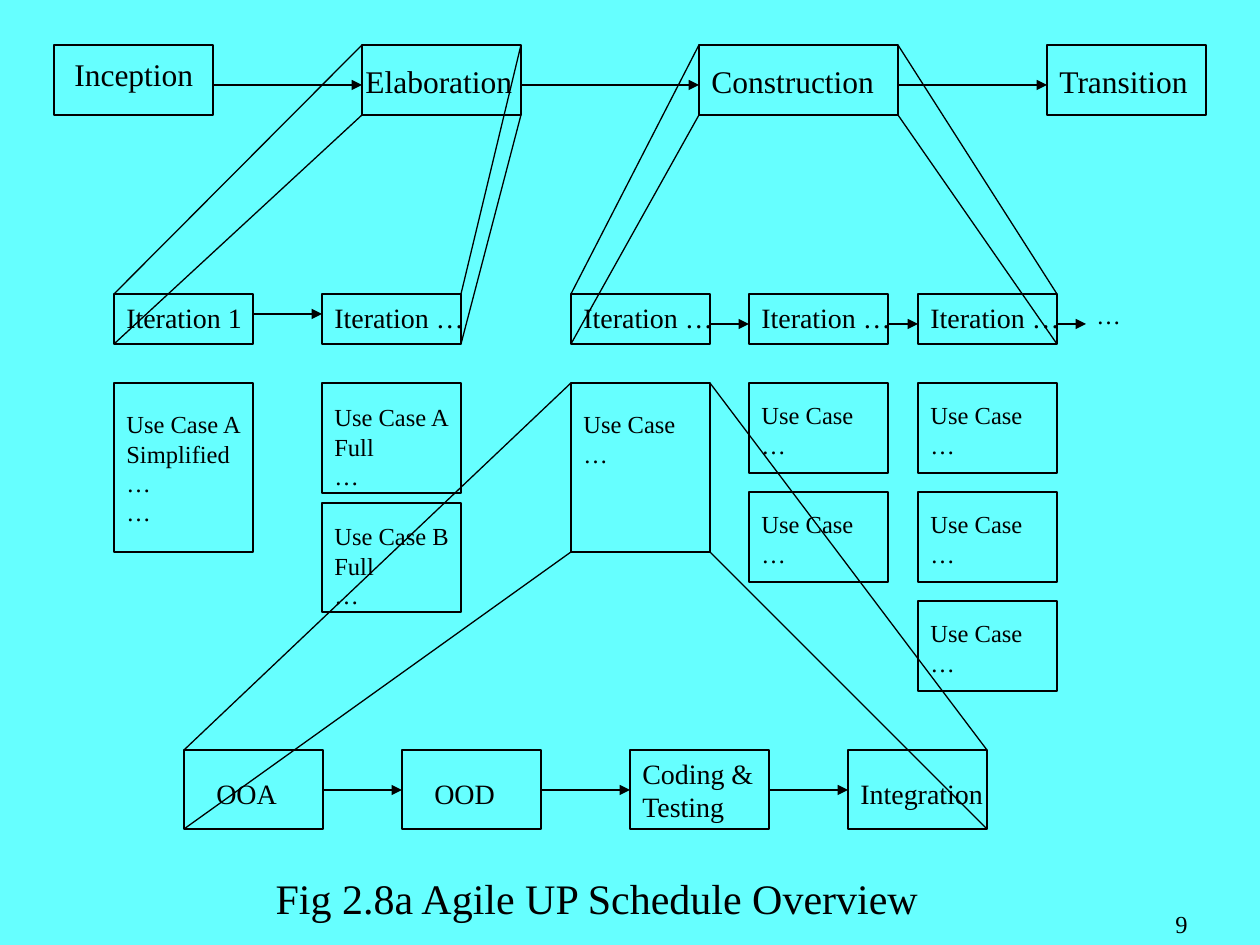
from dataclasses import dataclass
from itertools import pairwise

from lxml.etree import SubElement
from pptx import Presentation
from pptx.dml.color import RGBColor
from pptx.enum.shapes import MSO_CONNECTOR, MSO_SHAPE
from pptx.enum.text import MSO_ANCHOR, MSO_AUTO_SIZE, PP_ALIGN
from pptx.oxml.ns import qn
from pptx.util import Pt

PX = 914400 / 126
COLORS = {"background": "66FFFF", "ink": "000000"}
FONT = "Times New Roman"


@dataclass(frozen=True)
class Box:
    """A framed box whose label starts at an offset from its corner."""
    left: int
    top: int
    width: int
    height: int
    text: str
    size: int
    label_width: int
    label_dx: int = 0
    label_dy: int = 0
    wrap: bool = False

    @property
    def right(self) -> int:
        return self.left + self.width

    @property
    def bottom(self) -> int:
        return self.top + self.height


def emu(pixels: int) -> int:
    return round(pixels * PX)


def ink(name: str) -> RGBColor:
    return RGBColor.from_string(COLORS[name])


def write(shape, text: str, size: int, align=PP_ALIGN.LEFT, wrap: bool = False) -> None:
    frame = shape.text_frame
    frame.word_wrap = wrap
    frame.auto_size = MSO_AUTO_SIZE.NONE
    frame.vertical_anchor = MSO_ANCHOR.TOP
    for index, line in enumerate(text.split("\n")):
        paragraph = frame.add_paragraph() if index else frame.paragraphs[0]
        paragraph.alignment = align
        run = paragraph.add_run()
        run.text = line
        run.font.name = FONT
        run.font.size = Pt(size)
        run.font.color.rgb = ink("ink")


def add_label(slide, left: int, top: int, width: int, text: str, size: int,
              align=PP_ALIGN.LEFT, wrap: bool = False) -> None:
    height = round(size * 2.1 * (text.count("\n") + 1)) + 13
    shape = slide.shapes.add_textbox(emu(left), emu(top), emu(width), emu(height))
    write(shape, text, size, align, wrap)


def add_box(slide, box: Box) -> None:
    shape = slide.shapes.add_shape(MSO_SHAPE.RECTANGLE, emu(box.left), emu(box.top),
                                   emu(box.width), emu(box.height))
    shape.shadow.inherit = False
    shape.fill.background()
    shape.line.color.rgb = ink("ink")
    shape.line.width = Pt(0.75)
    add_label(slide, box.left + box.label_dx, box.top + box.label_dy,
              box.label_width, box.text, box.size, wrap=box.wrap)


def add_line(slide, x1: int, y1: int, x2: int, y2: int, arrow: bool = False) -> None:
    line = slide.shapes.add_connector(MSO_CONNECTOR.STRAIGHT,
                                      emu(x1), emu(y1), emu(x2), emu(y2))
    line.line.color.rgb = ink("ink")
    line.line.width = Pt(0.75)
    if arrow:
        SubElement(line.line._get_or_add_ln(), qn("a:tailEnd"), type="triangle")
    SubElement(line._element.spPr, qn("a:effectLst"))


def add_flow(slide, boxes: list[Box], y: int) -> None:
    """Join neighbouring boxes with arrows."""
    for start, end in pairwise(boxes):
        add_line(slide, start.right, y, end.left, y, arrow=True)


def add_zoom(slide, parent: Box, first: Box, last: Box) -> None:
    """Join the corners of a box to the outer corners of the row it expands into."""
    for edge in ("top", "bottom"):
        start, end = getattr(parent, edge), getattr(first, edge)
        add_line(slide, parent.left, start, first.left, end)
        add_line(slide, parent.right, start, last.right, end)


def iteration(left: int, text: str = "Iteration …", label_width: int = 155) -> Box:
    return Box(left, 294, 139, 50, text, 16, label_width)


def step(left: int, text: str, label_width: int, dx: int = 0, dy: int = 20,
         wrap: bool = False) -> Box:
    return Box(left, 750, 139, 79, text, 16, label_width, dx, dy, wrap)


def use_case(left: int, top: int, height: int, text: str, dy: int,
             label_width: int = 117) -> Box:
    return Box(left, top, 139, height, text, 14, label_width, 0, dy)


PHASES = [
    Box(54, 45, 159, 70, "Inception", 18, 144, 8, 4),
    Box(362, 45, 159, 70, "Elaboration", 18, 171, -9, 11),
    Box(699, 45, 199, 70, "Construction", 18, 188, 0, 11),
    Box(1047, 45, 159, 70, "Transition", 18, 155, 0, 11),
]
ELABORATION = [iteration(114, "Iteration 1", 140), iteration(322)]
CONSTRUCTION = [iteration(left) for left in (571, 749, 918)]
STEPS = [
    step(184, "OOA", 86, dx=20),
    step(402, "OOD", 86, dx=20),
    step(630, "Coding & Testing", 141, dy=0, wrap=True),
    step(848, "Integration", 147),
]
SHORT = "Use Case\n…"
DETAILED = use_case(571, 383, 169, SHORT, 20)
USE_CASES = [
    use_case(114, 383, 169, "Use Case A\nSimplified\n…\n…", 20, 141),
    use_case(322, 383, 110, "Use Case A\nFull\n…", 13, 141),
    use_case(322, 503, 109, "Use Case B\nFull\n…", 12, 140),
    DETAILED,
    *(use_case(left, 383 + 109 * row, 90, SHORT, 11)
      for left, count in ((749, 2), (918, 3)) for row in range(count)),
]


def main() -> None:
    presentation = Presentation()
    presentation.slide_width, presentation.slide_height = emu(1260), emu(945)
    slide = presentation.slides.add_slide(presentation.slide_layouts[5])
    slide.background.fill.solid()
    slide.background.fill.fore_color.rgb = ink("background")

    # Boxes of every row
    for box in PHASES + ELABORATION + CONSTRUCTION + USE_CASES + STEPS:
        add_box(slide, box)

    # Arrows along the rows
    add_flow(slide, PHASES, 85)
    add_flow(slide, ELABORATION, 314)
    add_flow(slide, CONSTRUCTION, 324)
    add_flow(slide, STEPS, 790)

    # Open end of the construction iterations
    add_line(slide, CONSTRUCTION[-1].right, 324, 1086, 324, arrow=True)
    add_label(slide, 1084, 294, 49, "…", 14)

    # Expansion lines between levels
    add_zoom(slide, PHASES[1], ELABORATION[0], ELABORATION[-1])
    add_zoom(slide, PHASES[2], CONSTRUCTION[0], CONSTRUCTION[-1])
    add_zoom(slide, DETAILED, STEPS[0], STEPS[-1])

    # Caption and page number
    title = slide.shapes.title
    title.left, title.top, title.width, title.height = map(emu, (263, 866, 672, 63))
    write(title, "Fig 2.8a Agile UP Schedule Overview", 24)
    add_label(slide, 937, 903, 263, "9", 14, PP_ALIGN.RIGHT, wrap=True)

    presentation.save("out.pptx")


if __name__ == "__main__":
    main()
